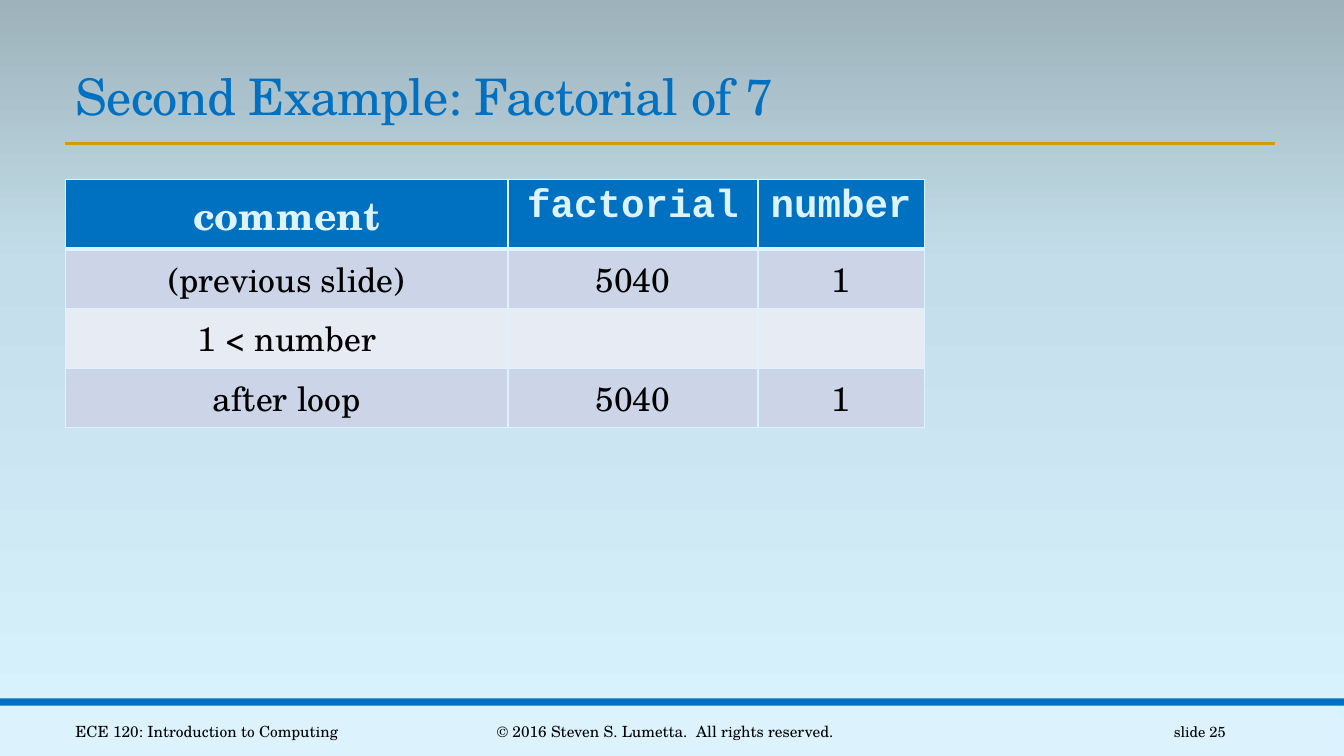
from dataclasses import dataclass

import pptx
import pptx.dml.color
import pptx.enum.shapes
import pptx.enum.text
import pptx.oxml
import pptx.oxml.ns
import pptx.util
from lxml import etree
from pptx.util import Cm

ALIGN = pptx.enum.text.PP_ALIGN
ANCHOR = pptx.enum.text.MSO_ANCHOR


@dataclass(frozen=True)
class Theme:
    blue: str = "0070C0"
    gold: str = "D09E00"
    pale: str = "DCF3FD"
    black: str = "000000"
    bands: tuple = ("CCD5E8", "E7EBF4")
    sky: tuple = ((0, "DAF4FF"), (65, "C3DEEA"), (100, "9DB2BA"))
    serif: str = "TeX Gyre Schola"
    mono: str = "Courier New"
    title_size: float = 36
    header_size: float = 28
    cell_size: float = 24
    footer_size: float = 11
    number_size: float = 10.5


THEME = Theme()
HEADERS = (("comment", THEME.serif), ("factorial", THEME.mono), ("number", THEME.mono))
ROWS = (
    ("(previous slide)", "5040", "1"),
    ("1 < number", "", ""),
    ("after loop", "5040", "1"),
)
COLUMN_WIDTHS = (11.15, 6.3, 4.19)
HEADER_HEIGHT = 1.75
ROW_HEIGHT = 1.5
FOOTERS = (
    ("ECE 120: Introduction to Computing", 1.65, 8.26, ALIGN.LEFT, THEME.footer_size),
    ("© 2016 Steven S. Lumetta.  All rights reserved.", 10.24, 13.06, ALIGN.CENTER, THEME.footer_size),
    ("slide 25", 27.51, 3.63, ALIGN.RIGHT, THEME.number_size),
)


def rgb(color):
    return pptx.dml.color.RGBColor.from_string(color)


def add_child(parent, tag, **attributes):
    return etree.SubElement(parent, pptx.oxml.ns.qn(tag), **attributes)


def style_paragraph(paragraph, size, color, alignment, font=THEME.serif, bold=False):
    paragraph.alignment = alignment
    paragraph.font.name = font
    paragraph.font.size = pptx.util.Pt(size)
    paragraph.font.bold = bold
    paragraph.font.color.rgb = rgb(color)


def paint_background(slide):
    fill = slide.background.fill
    fill.gradient()
    fill.gradient_angle = 90
    stops = next(slide.element.iter(pptx.oxml.ns.qn("a:gsLst")))
    for stop in list(stops):
        stops.remove(stop)
    for percent, color in THEME.sky:
        stop = add_child(stops, "a:gs", pos=str(percent * 1000))
        add_child(stop, "a:srgbClr", val=color)


def add_bar(slide, left, top, height, color):
    bar = slide.shapes.add_shape(
        pptx.enum.shapes.MSO_SHAPE.RECTANGLE, Cm(left), Cm(top), Cm(33.87), Cm(height))
    bar.shadow.inherit = False
    bar.fill.solid()
    bar.fill.fore_color.rgb = rgb(color)
    bar.line.fill.background()


def add_rule(slide, left, right, top):
    rule = slide.shapes.add_connector(
        pptx.enum.shapes.MSO_CONNECTOR.STRAIGHT, Cm(left), Cm(top), Cm(right), Cm(top))
    rule.line.color.rgb = rgb(THEME.gold)
    rule.line.width = pptx.util.Pt(2)
    add_child(rule.element.spPr, "a:effectLst")


def set_title(slide, text):
    title = slide.shapes.title
    title.left, title.top, title.width, title.height = Cm(1.65), Cm(1.5), Cm(30.5), Cm(1.8)
    frame = title.text_frame
    frame.text = text
    frame.word_wrap = True
    frame.auto_size = pptx.enum.text.MSO_AUTO_SIZE.NONE
    frame.vertical_anchor = ANCHOR.BOTTOM
    paragraph = frame.paragraphs[0]
    style_paragraph(paragraph, THEME.title_size, THEME.blue, ALIGN.LEFT)
    paragraph.line_spacing = 0.85
    paragraph.runs[0].font._element.set("spc", "-50")


def add_footer(slide, text, left, width, alignment, size):
    frame = slide.shapes.add_textbox(Cm(left), Cm(17.93), Cm(width), Cm(1.02)).text_frame
    frame.word_wrap = True
    frame.vertical_anchor = ANCHOR.MIDDLE
    frame.text = text
    style_paragraph(frame.paragraphs[0], size, THEME.black, alignment)


def set_borders(cell, top, bottom):
    properties = cell._tc.get_or_add_tcPr()
    widths = (("a:lnL", 1), ("a:lnR", 1), ("a:lnT", top), ("a:lnB", bottom))
    for index, (tag, width) in enumerate(widths):
        border = add_child(properties, tag, w=str(pptx.util.Pt(width)))
        add_child(add_child(border, "a:solidFill"), "a:srgbClr", val=THEME.pale)
        properties.insert(index, border)


def fill_cell(cell, text, fill, **text_style):
    cell.text = text
    cell.fill.solid()
    cell.fill.fore_color.rgb = rgb(fill)
    style_paragraph(cell.text_frame.paragraphs[0], alignment=ALIGN.CENTER, **text_style)


def add_trace_table(slide):
    height = HEADER_HEIGHT + ROW_HEIGHT * len(ROWS)
    table = slide.shapes.add_table(
        len(ROWS) + 1, len(HEADERS), Cm(1.65), Cm(4.53),
        Cm(sum(COLUMN_WIDTHS)), Cm(height)).table
    for column, width in zip(table.columns, COLUMN_WIDTHS):
        column.width = Cm(width)
    for index, row in enumerate(table.rows):
        row.height = Cm(ROW_HEIGHT if index else HEADER_HEIGHT)
        for cell in row.cells:
            set_borders(cell, top=3 if index == 1 else 1, bottom=1 if index else 3)
    for cell, (text, font) in zip(table.rows[0].cells, HEADERS):
        fill_cell(cell, text, THEME.blue, size=THEME.header_size,
                  color=THEME.pale, font=font, bold=True)
    for index, values in enumerate(ROWS):
        for cell, text in zip(table.rows[index + 1].cells, values):
            fill_cell(cell, text, THEME.bands[index % 2],
                      size=THEME.cell_size, color=THEME.black)


def main():
    presentation = pptx.Presentation()
    presentation.slide_width = Cm(33.87)
    presentation.slide_height = Cm(19.05)
    slide = presentation.slides.add_slide(presentation.slide_layouts[5])
    paint_background(slide)
    add_bar(slide, -0.15, 17.78, 1.27, THEME.pale)
    add_bar(slide, 0, 17.6, 0.18, THEME.blue)
    add_rule(slide, 1.65, 32.13, 3.61)
    set_title(slide, "Second Example: Factorial of 7")
    for footer in FOOTERS:
        add_footer(slide, *footer)
    add_trace_table(slide)
    presentation.save("out.pptx")


if __name__ == "__main__":
    main()
